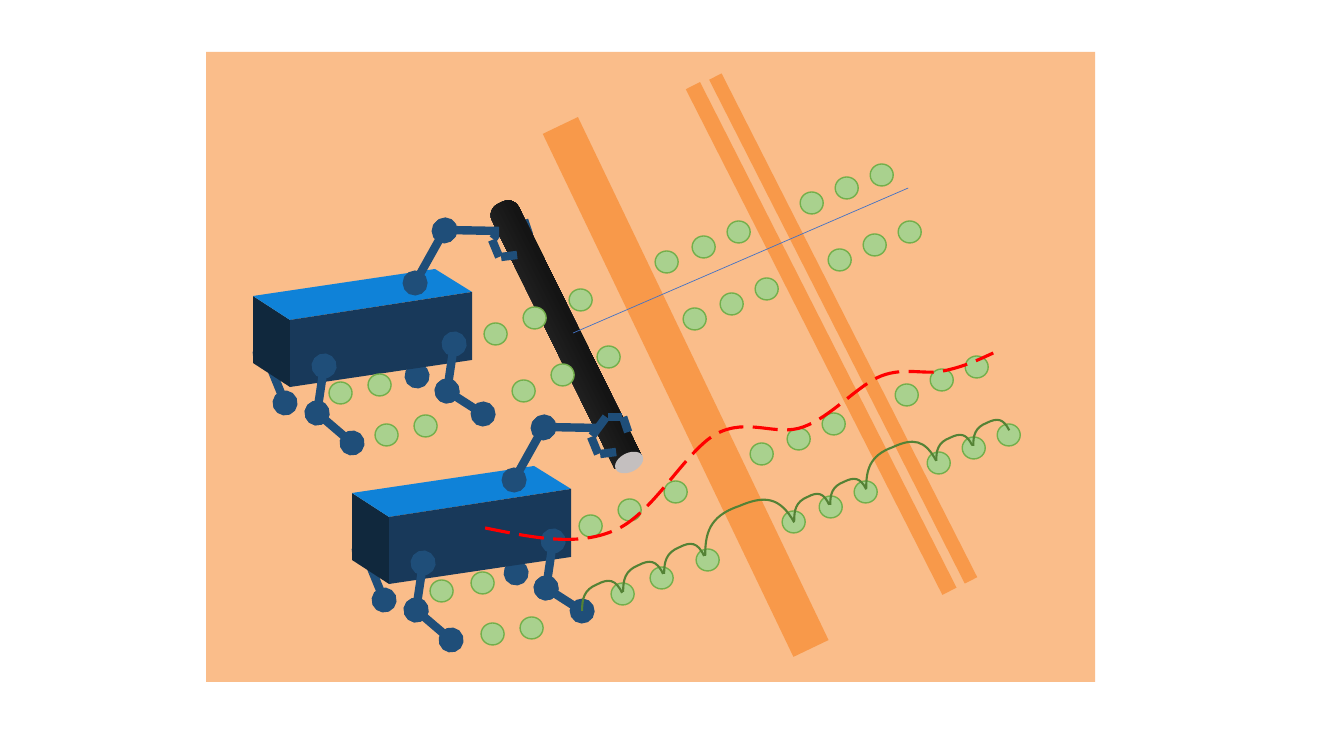
from copy import deepcopy

from lxml.etree import SubElement
from pptx import Presentation
from pptx.dml.color import RGBColor
from pptx.enum.dml import MSO_LINE
from pptx.enum.shapes import MSO_CONNECTOR, MSO_SHAPE
from pptx.oxml.ns import qn
from pptx.util import Emu, Inches, Pt

PIXEL = Inches(1) / 100.8
COLORS = {
    "ground": "FABD8A", "stripe": "F8994A", "limb": "1F4E79",
    "top": "0F82D8", "front": "18395A", "side": "10283D",
    "foothold": "A9D18E", "foothold_line": "73AF4B", "hop": "548235",
    "body_path": "FF0000", "rod_path": "4472C4", "rod_end": "C4BFBF",
    "rod_edge": "555555", "rod_middle": "141414",
}
GROUND = (206, 52, 889, 630)
STRIPES = [  # left, top, width, height, rotation
    (666, 97, 39, 580, -25.6), (813, 55, 16, 567, -26.9), (836, 46, 14, 565, -26.9),
]
ROD = (549, 188, 30, 289, -26.3)
ROD_END = (614, 453, 30, 19, -26.3)

# One robot; the other stands one fixed step away. Limbs: from, to, head, tail.
ROBOT_STEP = (99, 197)
HIND_LEGS = [
    ((265, 354), (285, 403), True, True), ((396, 348), (417, 376), True, True),
]
FACES = {
    "side": [(253, 296), (290, 320), (290, 387), (253, 363)],
    "top": [(253, 296), (435, 269), (472, 292), (290, 320)],
    "front": [(290, 320), (472, 292), (472, 360), (290, 387)],
}
FRONT_LEGS = [
    ((454, 344), (447, 391), True, True), ((447, 391), (483, 414), True, True),
    ((324, 366), (317, 413), True, True), ((317, 413), (352, 443), True, True),
]
GRIPPER_BACK = [
    ((507, 220), (493, 239), False, False), ((523, 220), (509, 220), False, False),
    ((529, 235), (524, 220), False, False),
]
ARM = [
    ((444, 231), (415, 283), True, True), ((499, 231), (445, 230), False, True),
    ((499, 257), (492, 240), False, False), ((517, 255), (501, 257), False, False),
]

FOOTHOLD_SIZE = (23, 22)
NEAR_FOOTHOLDS = [
    (375, 424), (414, 415), (329, 382), (368, 374),
    (481, 623), (520, 617), (430, 580), (471, 572),
]
ROW_STARTS = [(611, 583), (579, 515), (512, 380), (484, 323)]
ROW_STEPS = [
    (0, 0), (39, -16), (85, -34), (171, -72), (208, -87), (243, -102),
    (316, -131), (351, -146), (386, -159),
]

# Each hop is the same curve, in shares of its left, top, width, height.
HOP_CURVE = [(0, 1), (0, .61), (.04, .29), (.38, .11), (.67, -.09), (.84, -.05), (1, .4)]
HOPS = [
    (582, 581, 40, 30), (623, 562, 40, 30), (664, 544, 40, 30),
    (705, 500, 89, 56), (794, 494, 35, 27), (830, 479, 36, 26),
    (866, 442, 70, 47), (936, 435, 36, 26), (973, 420, 36, 26),
]
BODY_PATH = [
    (485, 528), (530, 537), (575, 547), (613, 531), (652, 516), (684, 452),
    (716, 434), (748, 417), (776, 437), (803, 427), (831, 417), (858, 385),
    (881, 376), (904, 367), (925, 375), (943, 371), (963, 367), (978, 360), (993, 353),
]
ROD_PATH = ((573, 333), (908, 188))


def px(value):
    """Turn pixels into EMU."""
    return Emu(round(value * PIXEL))


def color(name):
    """Look up a named colour."""
    return RGBColor.from_string(COLORS[name])


def moved(point, step):
    """Shift a point by a step."""
    return point[0] + step[0], point[1] + step[1]


def add_preset(kind, frame, fill, line=None, rotation=0):
    """Add a preset shape with a flat fill."""
    shape = shapes.add_shape(kind, *map(px, frame))
    shape.shadow.inherit = False
    shape.rotation = rotation
    shape.fill.solid()
    shape.fill.fore_color.rgb = color(fill)
    if line:
        shape.line.color.rgb = color(line)
        shape.line.width = Pt(1)
    else:
        shape.line.fill.background()
    return shape


def add_line(start, end, name, width, head=False, tail=False):
    """Add a straight line with optional round joints."""
    line = shapes.add_connector(MSO_CONNECTOR.STRAIGHT, *map(px, start + end))
    line.line.color.rgb = color(name)
    line.line.width = Pt(width)
    outline = line.line._get_or_add_ln()
    for tag, wanted in (("a:headEnd", head), ("a:tailEnd", tail)):
        if wanted:
            SubElement(outline, qn(tag), type="oval")
    SubElement(line._element.spPr, qn("a:effectLst"))


def add_outline(points, close):
    """Add a freeform through the points."""
    corners = [(px(x), px(y)) for x, y in points]
    builder = shapes.build_freeform(*corners[0])
    builder.add_line_segments(corners[1:], close=close)
    shape = builder.convert_to_shape()
    shape.shadow.inherit = False
    return shape


def add_curve(points, name, width):
    """Add an open Bezier curve: a start, then three points per segment."""
    shape = add_outline(points, False)
    shape.fill.background()
    shape.line.color.rgb = color(name)
    shape.line.width = Pt(width)
    route = next(shape._element.iter(qn("a:path")))
    segments = route.findall(qn("a:lnTo"))
    for first in range(0, len(segments), 3):
        bezier = SubElement(route, qn("a:cubicBezTo"))
        for segment in segments[first:first + 3]:
            bezier.append(segment[0])
            route.remove(segment)
    return shape


def add_limbs(limbs, step):
    """Add the limbs of the robot that stands at the step."""
    for start, end, head, tail in limbs:
        add_line(moved(start, step), moved(end, step), "limb", 6, head, tail)


def add_body(step):
    """Add a robot's box and legs."""
    add_limbs(HIND_LEGS, step)
    for name, corners in FACES.items():
        face = add_outline([moved(corner, step) for corner in corners], True)
        face.fill.solid()
        face.fill.fore_color.rgb = color(name)
        face.line.fill.background()
    add_limbs(FRONT_LEGS, step)


def add_rod():
    """Add the carried rod, dark along its middle, and its end."""
    rod = add_preset(MSO_SHAPE.ROUND_2_SAME_RECTANGLE, ROD[:4], "rod_middle", rotation=ROD[4])
    rod.adjustments[0] = .4
    rod.fill.gradient()
    rod.fill.gradient_angle = 0
    stop_list = next(rod._element.iter(qn("a:gsLst")))
    stop_list.insert(1, deepcopy(stop_list[0]))
    names = ("rod_edge", "rod_middle", "rod_edge")
    for stop, name, position in zip(rod.fill.gradient_stops, names, (0, .55, 1)):
        stop.color.rgb = color(name)
        stop.position = position
    add_preset(MSO_SHAPE.OVAL, ROD_END[:4], "rod_end", rotation=ROD_END[4])


presentation = Presentation()
presentation.slide_width, presentation.slide_height = Inches(13.33), Inches(7.5)
slide = presentation.slides.add_slide(presentation.slide_layouts[6])
shapes = slide.shapes

add_preset(MSO_SHAPE.RECTANGLE, GROUND, "ground")
add_body((0, 0))
for *frame, angle in STRIPES:
    add_preset(MSO_SHAPE.RECTANGLE, frame, "stripe", rotation=angle)
add_limbs(GRIPPER_BACK, (0, 0))
add_rod()
add_limbs(ARM, (0, 0))
add_body(ROBOT_STEP)
add_limbs(GRIPPER_BACK + ARM, ROBOT_STEP)

row_footholds = [moved(start, step) for start in ROW_STARTS for step in ROW_STEPS]
for corner in NEAR_FOOTHOLDS + row_footholds:
    add_preset(MSO_SHAPE.OVAL, corner + FOOTHOLD_SIZE, "foothold", "foothold_line")
for left, top, width, height in HOPS:
    add_curve([(left + x * width, top + y * height) for x, y in HOP_CURVE], "hop", 1.5)
add_curve(BODY_PATH, "body_path", 2.25).line.dash_style = MSO_LINE.LONG_DASH
add_line(*ROD_PATH, "rod_path", .5)

presentation.save("out.pptx")
